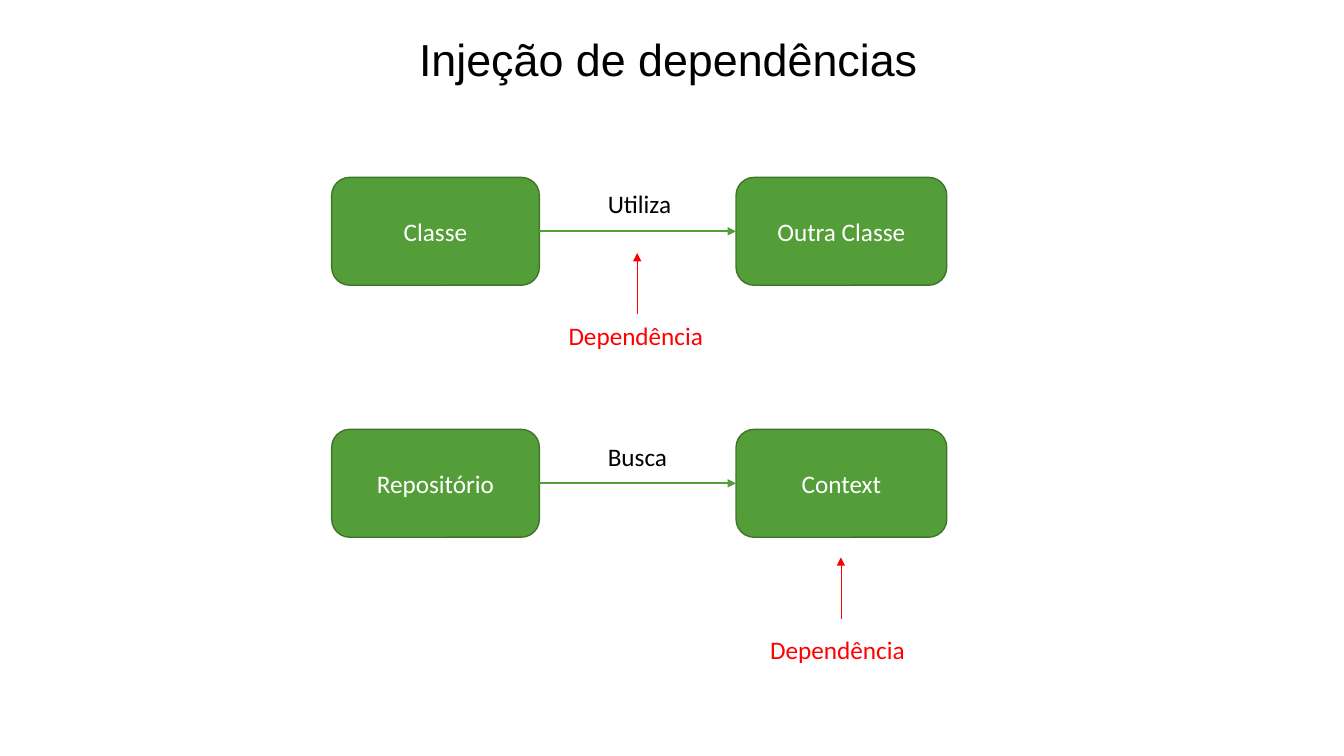
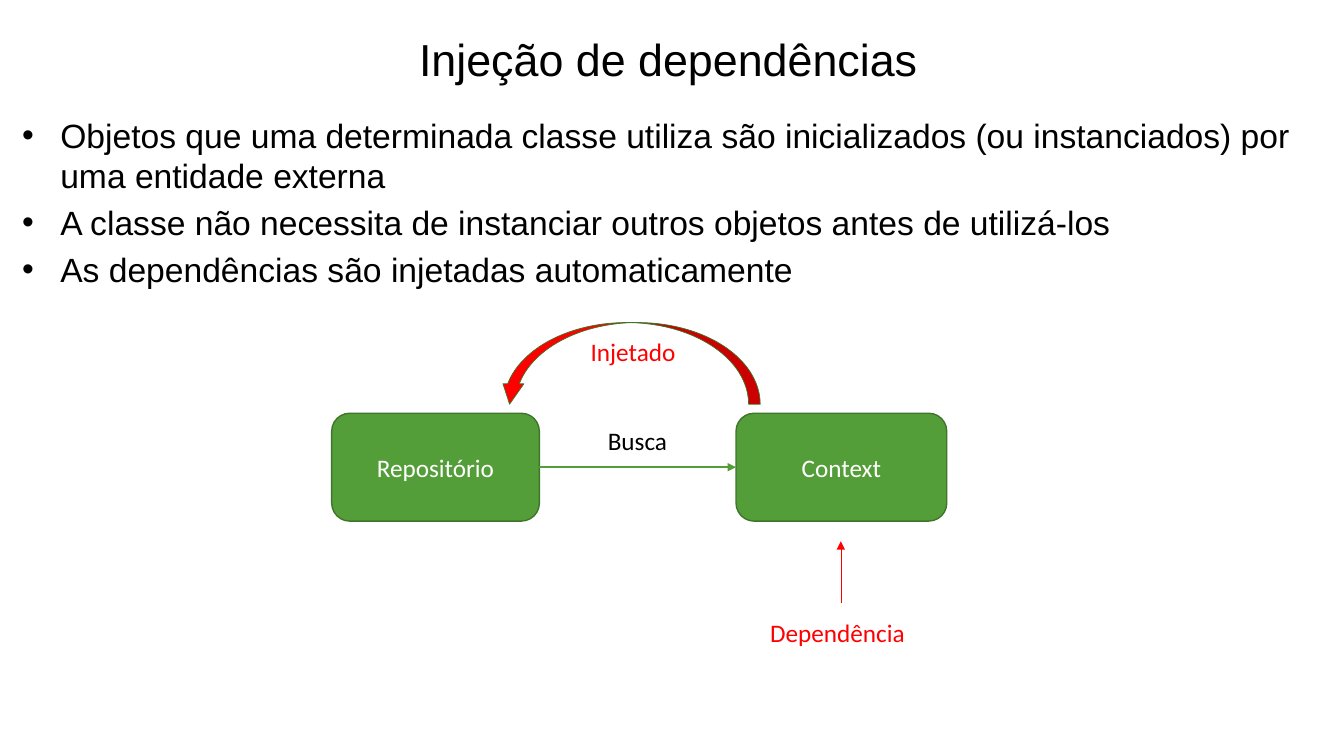
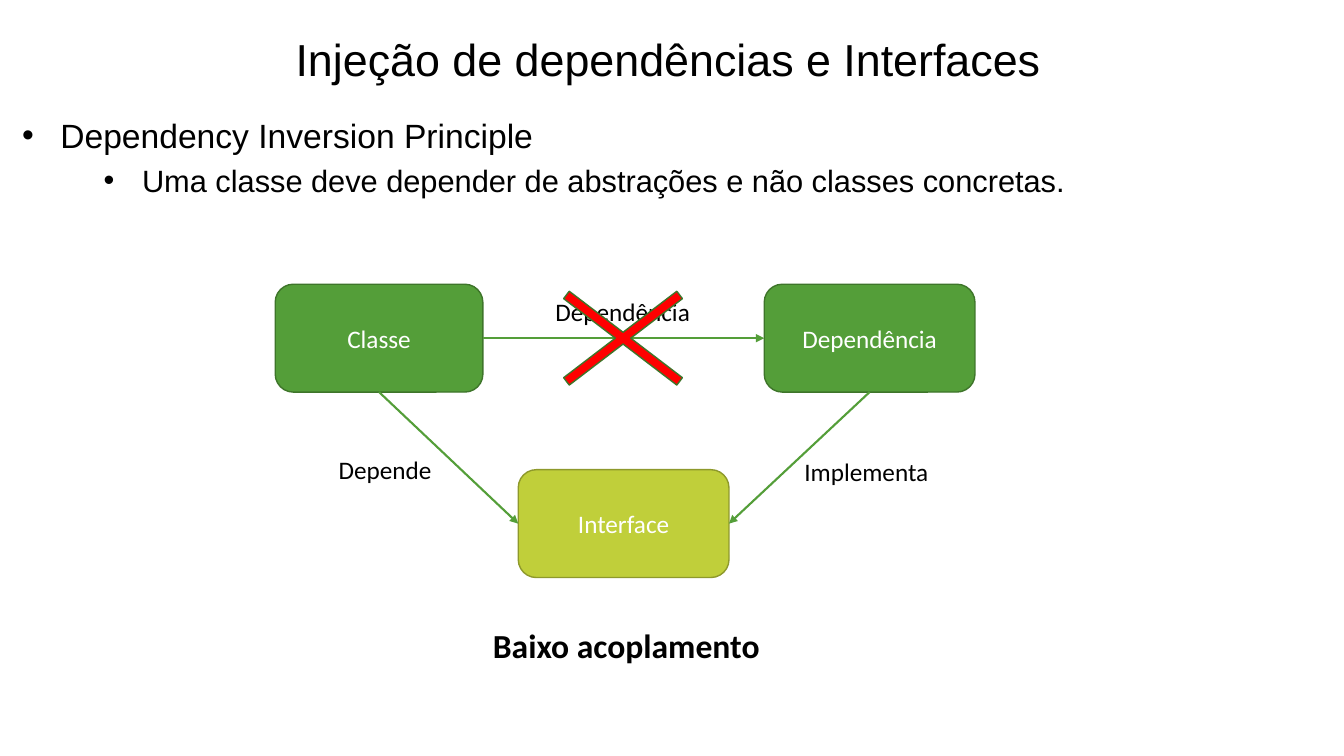
"""Builds three slides on dependency injection."""
from pptx import Presentation
from pptx.dml.color import RGBColor
from pptx.enum.shapes import MSO_CONNECTOR as Connector, MSO_SHAPE as Preset
from pptx.enum.text import MSO_ANCHOR as Anchor, PP_ALIGN as Align
from pptx.oxml.ns import qn
from pptx.util import Pt
from lxml.etree import SubElement

PX = 9144
COLORS = {
    "black": "000000", "white": "FFFFFF", "red": "FF0000",
    "green": "549E39", "green_edge": "3E752A",
    "lime": "C0CF3A", "lime_edge": "8E992B",
}
NODE_HEIGHT, LEFT_WIDTH, RIGHT_WIDTH = 107, 206, 209
LEFT_X, RIGHT_X, VERB_X = 329, 730, 593
POINTER_LENGTH, LABEL_HEIGHT, BULLET_INDENT = 61, 40, 38
BOTTOM, LEFT, RIGHT = 2, 1, 3


def write(frame, text, size, color, font="Calibri", bold=False, new=False):
    """Add one run of text, in a new paragraph if asked."""
    para = frame.add_paragraph() if new else frame.paragraphs[0]
    span = para.add_run()
    span.text = text
    span.font.size = Pt(size)
    span.font.name = font
    span.font.bold = bold
    span.font.color.rgb = RGBColor.from_string(COLORS[color])
    return para


def draw_arrow(page, start, end, color, width):
    """Add a straight arrow between two points."""
    arrow = page.shapes.add_connector(
        Connector.STRAIGHT, *[value * PX for value in (*start, *end)])
    arrow.line.color.rgb = RGBColor.from_string(COLORS[color])
    arrow.line.width = Pt(width)
    properties = arrow._element.spPr
    SubElement(properties.find(qn("a:ln")), qn("a:tailEnd"), type="triangle")
    SubElement(properties, qn("a:effectLst"))
    return arrow


slides = [
    {
        "title": "Injeção de dependências",
        "nodes": [
            ("Classe", LEFT_X, 176, LEFT_WIDTH, "green"),
            ("Outra Classe", RIGHT_X, 176, RIGHT_WIDTH, "green"),
            ("Repositório", LEFT_X, 426, LEFT_WIDTH, "green"),
            ("Context", RIGHT_X, 426, RIGHT_WIDTH, "green"),
        ],
        "links": [("Classe", RIGHT, "Outra Classe", LEFT),
                  ("Repositório", RIGHT, "Context", LEFT)],
        "pointers": [(632, 251), (834, 553)],
        "labels": [
            ("Utiliza", VERB_X, 182, 84, "black"),
            ("Dependência", 554, 313, 159, "red"),
            ("Busca", VERB_X, 433, 84, "black"),
            ("Dependência", 754, 624, 159, "red"),
        ],
    },
    {
        "title": "Injeção de dependências",
        "bullets": [
            ("Objetos que uma determinada classe utiliza são inicializados "
             "(ou instanciados) por uma entidade externa", 0),
            ("A classe não necessita de instanciar outros objetos antes de utilizá-los", 0),
            ("As dependências são injetadas automaticamente", 0),
        ],
        "nodes": [
            ("Repositório", LEFT_X, 410, LEFT_WIDTH, "green"),
            ("Context", RIGHT_X, 410, RIGHT_WIDTH, "green"),
        ],
        "links": [("Repositório", RIGHT, "Context", LEFT)],
        "pointers": [(834, 537)],
        "labels": [
            ("Busca", VERB_X, 417, 84, "black"),
            ("Dependência", 754, 608, 159, "red"),
            ("Injetado", 576, 329, 111, "red"),
        ],
        "mark": (Preset.CURVED_DOWN_ARROW, (495, 320, 259, 81), (0.142, 0.257, 0.25), 0.5),
    },
    {
        "title": "Injeção de dependências e Interfaces",
        "bullets": [
            ("Dependency Inversion Principle", 0),
            ("Uma classe deve depender de abstrações e não classes concretas.", 1),
        ],
        "nodes": [
            ("Classe", 273, 282, LEFT_WIDTH, "green"),
            ("Dependência", 758, 282, RIGHT_WIDTH, "green"),
            ("Interface", 514, 466, RIGHT_WIDTH, "lime"),
        ],
        "links": [("Classe", RIGHT, "Dependência", LEFT),
                  ("Classe", BOTTOM, "Interface", LEFT),
                  ("Dependência", BOTTOM, "Interface", RIGHT)],
        "labels": [
            ("Dependência", 541, 289, 192, "black"),
            ("Depende", 326, 446, 126, "black"),
            ("Implementa", 788, 448, 145, "black"),
        ],
        "mark": (Preset.MATH_MULTIPLY, (510, 253, 216, 165), (0.056,), 1),
        "conclusion": ("Baixo acoplamento", 479, 615, 288, "black"),
    },
]

deck = Presentation()
deck.slide_width, deck.slide_height = 1333 * PX, 750 * PX

for content in slides:
    page = deck.slides.add_slide(deck.slide_layouts[6])

    title = page.shapes.add_textbox(12 * PX, 17 * PX, 1302 * PX, 83 * PX).text_frame
    title.word_wrap = True
    title.vertical_anchor = Anchor.MIDDLE
    para = write(title, content["title"], 32, "black", "Arial")
    para.alignment = Align.CENTER
    para.space_before = Pt(6.4)

    if "bullets" in content:
        body = page.shapes.add_textbox(12 * PX, 109 * PX, 1302 * PX, 491 * PX).text_frame
        body.word_wrap = True
        for index, (text, level) in enumerate(content["bullets"]):
            size = 24 - 2 * level
            para = write(body, text, size, "black", "Arial", new=index > 0)
            para.level = level
            para.space_before = Pt(size * 0.2)
            properties = para._p.get_or_add_pPr()
            properties.set("marL", str((BULLET_INDENT + 81 * level) * PX))
            properties.set("indent", str(-BULLET_INDENT * PX))
            SubElement(properties, qn("a:buFont"), typeface="Arial")
            SubElement(properties, qn("a:buChar"), char="•")

    nodes = {}
    for name, x, y, width, color in content["nodes"]:
        node = page.shapes.add_shape(
            Preset.ROUNDED_RECTANGLE, x * PX, y * PX, width * PX, NODE_HEIGHT * PX)
        node.shadow.inherit = False
        node.fill.solid()
        node.fill.fore_color.rgb = RGBColor.from_string(COLORS[color])
        node.line.color.rgb = RGBColor.from_string(COLORS[color + "_edge"])
        node.line.width = Pt(1)
        node.text_frame.vertical_anchor = Anchor.MIDDLE
        write(node.text_frame, name, 18, "white").alignment = Align.CENTER
        nodes[name] = node

    for source, source_side, target, target_side in content["links"]:
        link = draw_arrow(page, (0, 0), (0, 0), "green", 1.5)
        link.begin_connect(nodes[source], source_side)
        link.end_connect(nodes[target], target_side)

    for x, y in content.get("pointers", []):
        draw_arrow(page, (x, y + POINTER_LENGTH), (x, y), "red", 0.5)

    labels = [(label, 18, False) for label in content["labels"]]
    if "conclusion" in content:
        labels.append((content["conclusion"], 24, True))
    for (text, x, y, width, color), size, bold in labels:
        label = page.shapes.add_textbox(x * PX, y * PX, width * PX, LABEL_HEIGHT * PX).text_frame
        label.word_wrap = True
        label.margin_right = 0
        write(label, text, size, color, bold=bold)

    if "mark" in content:
        preset, place, adjustments, width = content["mark"]
        mark = page.shapes.add_shape(preset, *[value * PX for value in place])
        mark.shadow.inherit = False
        for index, value in enumerate(adjustments):
            mark.adjustments[index] = value
        mark.fill.solid()
        mark.fill.fore_color.rgb = RGBColor.from_string(COLORS["red"])
        mark.line.color.rgb = RGBColor.from_string(COLORS["green_edge"])
        mark.line.width = Pt(width)
        if preset == Preset.CURVED_DOWN_ARROW:
            mark._element.spPr.find(qn("a:xfrm")).set("flipH", "1")

deck.save("out.pptx")
